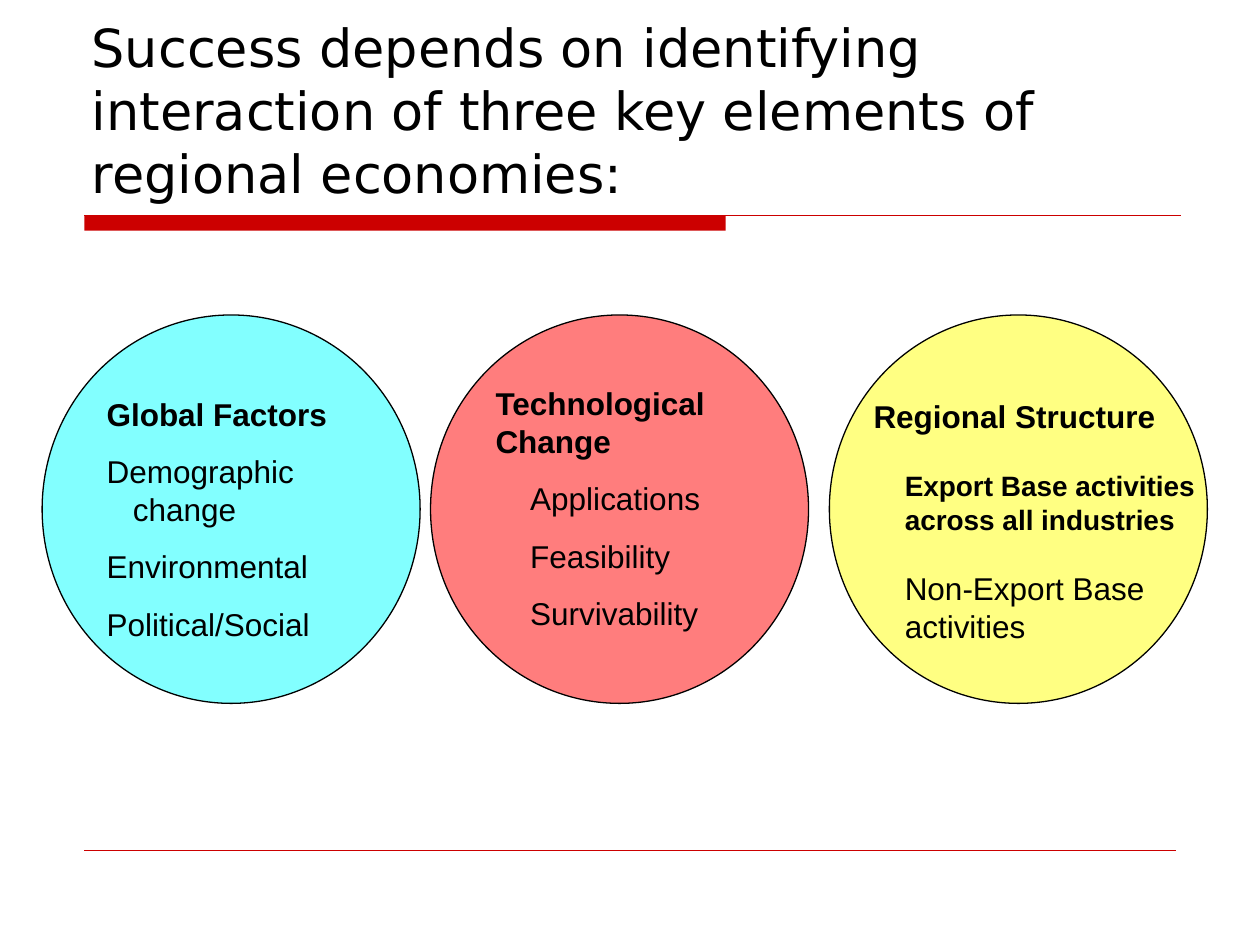
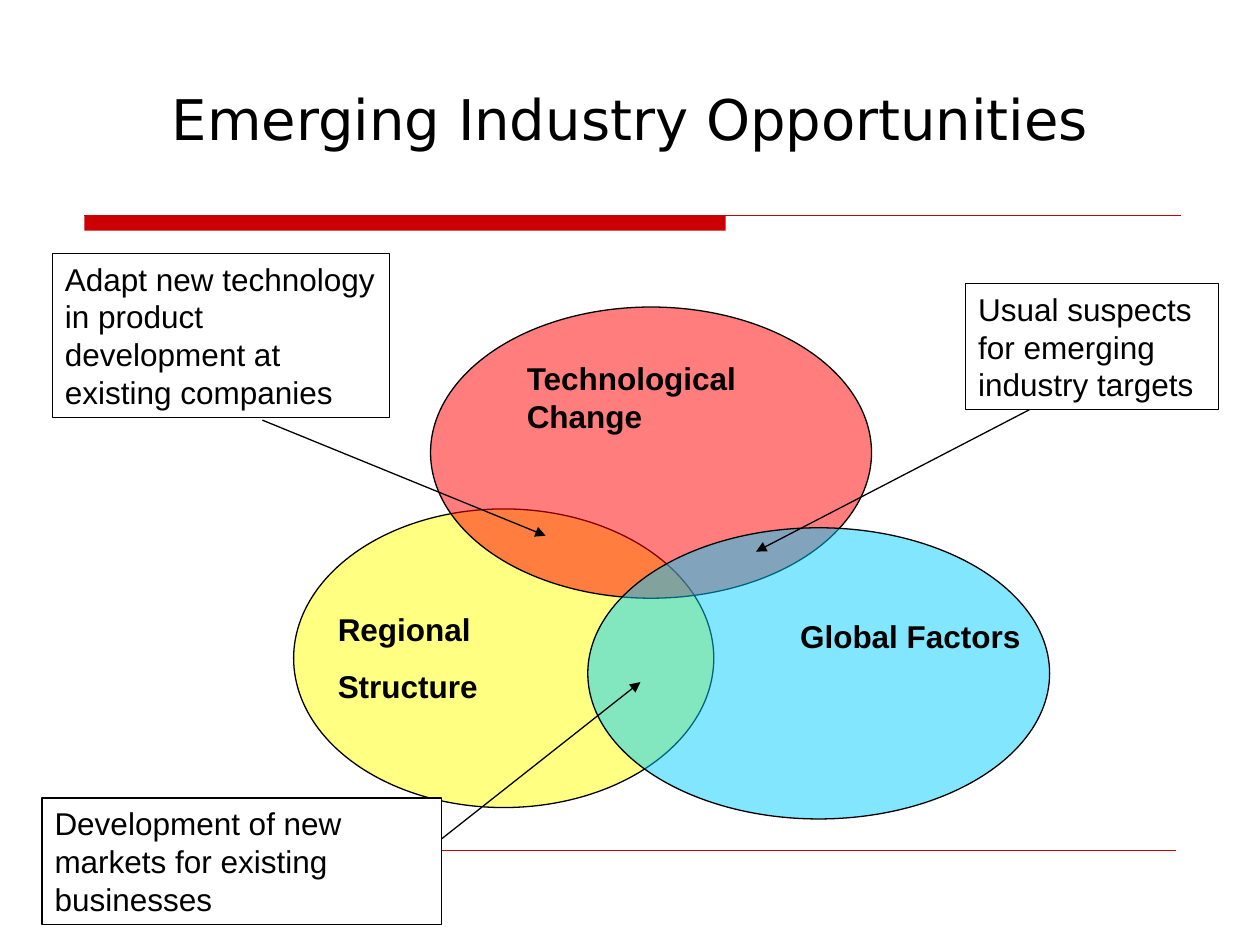
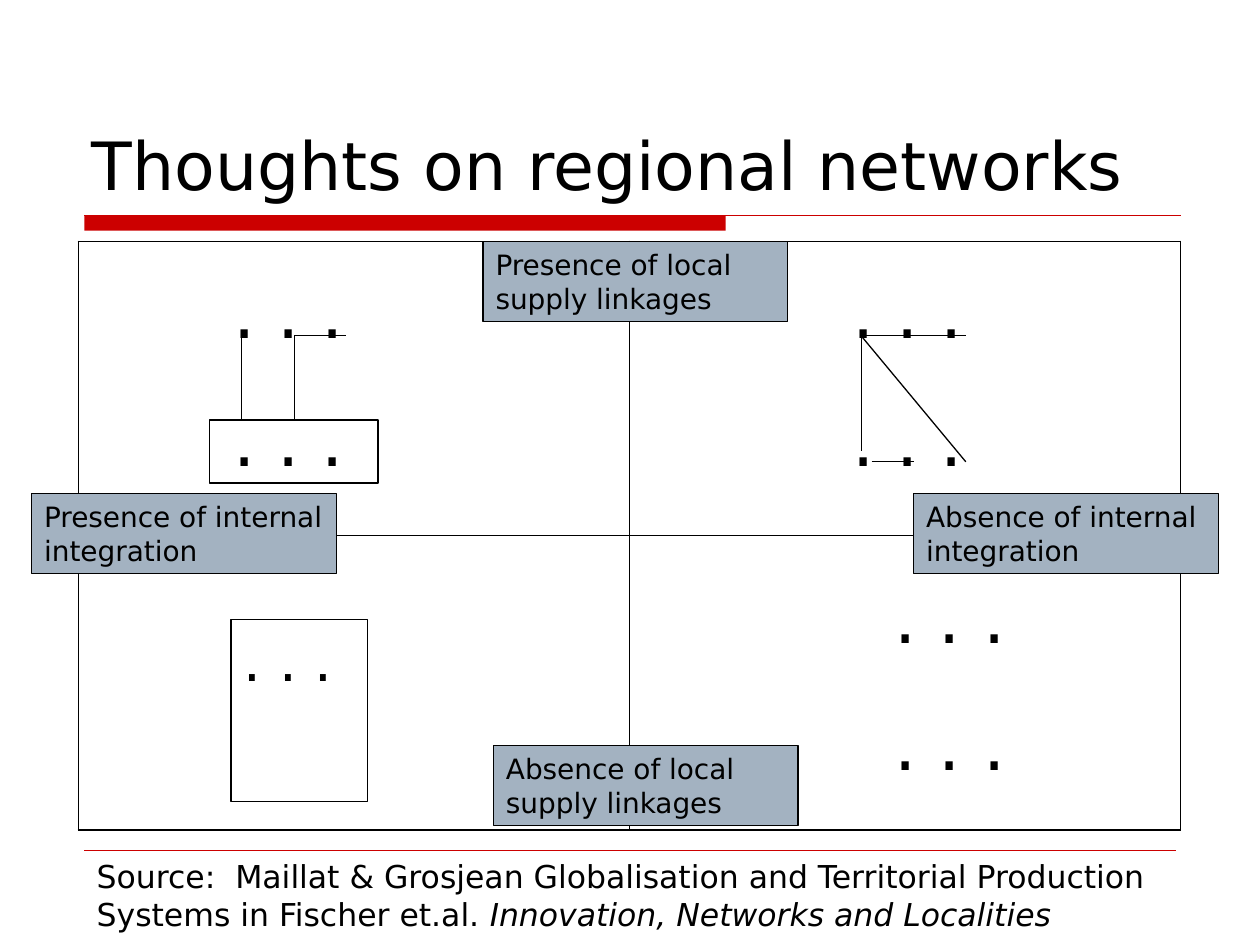
from dataclasses import dataclass

from lxml import etree
from pptx import Presentation
from pptx import util as u
from pptx.dml import color
from pptx.enum import shapes, text
from pptx.oxml import ns

BLACK, WHITE, RED = "000000", "FFFFFF", "CC0000"
SLATE = "A3B2C1"
PURE_RED, YELLOW, CYAN, SKY = "FF0000", "FFFF00", "00FFFF", "00CCFF"
HEADING_FONT, LABEL_FONT = "DejaVu Sans", "Arial"
GAP_RATIO = 0.625  # space before a paragraph, as a share of its text size
OVAL, BOX = shapes.MSO_SHAPE.OVAL, shapes.MSO_SHAPE.RECTANGLE


def rgb(code):
    return color.RGBColor.from_string(code)


def add_element(parent, tag, **attributes):
    return etree.SubElement(parent, ns.qn(tag), **attributes)


@dataclass
class Line:
    """One paragraph, with its own weight and indents in centimetres."""
    words: str
    bold: bool = False
    indent: float = 0
    hanging: float = 0
    italic_end: str = ""


class Deck:
    def __init__(self):
        self.presentation = Presentation()
        self.presentation.slide_width = u.Cm(25.4)
        self.presentation.slide_height = u.Cm(19.05)
        self.slide = None

    # Slide with title, red band and footer rule
    def new_slide(self, title, size, top=0.85, height=3.38,
                  align=text.PP_ALIGN.LEFT):
        layout = self.presentation.slide_layouts[6]
        self.slide = self.presentation.slides.add_slide(layout)
        self.shape(BOX, 1.7, 4.34, 12.93, 0.31, fill=RED, line=None)
        self.connect((1.7, 4.34), (23.8, 4.34), RED)
        self.connect((1.7, 17.15), (23.7, 17.15), RED, 0.25)
        frame = self.text(1.6, top, 22.23, height, [Line(title)], size, HEADING_FONT)
        frame.vertical_anchor = text.MSO_ANCHOR.BOTTOM
        frame.paragraphs[0].alignment = align

    # Text
    def fill_text(self, frame, lines, size, font):
        frame.word_wrap = True
        frame.vertical_anchor = text.MSO_ANCHOR.TOP
        for number, line in enumerate(lines):
            paragraph = frame.add_paragraph() if number else frame.paragraphs[0]
            paragraph.alignment = text.PP_ALIGN.LEFT
            paragraph.add_run().text = line.words
            if line.italic_end:
                run = paragraph.add_run()
                run.text = line.italic_end
                run.font.italic = True
            if number:
                paragraph.space_before = u.Pt(size * GAP_RATIO)
            if line.indent:
                properties = paragraph._p.get_or_add_pPr()
                properties.set("marL", str(u.Cm(line.indent)))
                properties.set("indent", str(-u.Cm(line.hanging)))
            paragraph.font.name = font
            paragraph.font.size = u.Pt(size)
            paragraph.font.bold = line.bold
            paragraph.font.color.rgb = rgb(BLACK)

    def text(self, left, top, width, height, lines, size=18, font=LABEL_FONT):
        box = self.slide.shapes.add_textbox(
            u.Cm(left), u.Cm(top), u.Cm(width), u.Cm(height))
        self.fill_text(box.text_frame, lines, size, font)
        return box.text_frame

    # Preset shapes
    def shape(self, kind, left, top, width, height, fill=None, alpha=None,
              line=BLACK):
        shape = self.slide.shapes.add_shape(
            kind, u.Cm(left), u.Cm(top), u.Cm(width), u.Cm(height))
        shape.shadow.inherit = False
        if fill:
            shape.fill.solid()
            shape.fill.fore_color.rgb = rgb(fill)
        else:
            shape.fill.background()
        if alpha:
            fill_color = shape._element.spPr.find(".//" + ns.qn("a:srgbClr"))
            add_element(fill_color, "a:alpha", val=str(alpha * 1000))
        if line:
            shape.line.color.rgb = rgb(line)
            shape.line.width = u.Pt(0.75)
        else:
            shape.line.fill.background()
        return shape

    def text_box(self, left, top, width, height, words, fill=WHITE, size=18,
                 font=LABEL_FONT):
        shape = self.shape(BOX, left, top, width, height, fill)
        self.fill_text(shape.text_frame, [Line(words)], size, font)

    # Lines and arrows
    def connect(self, start, end, line=BLACK, weight=0.75, arrow=False):
        connector = self.slide.shapes.add_connector(
            shapes.MSO_CONNECTOR.STRAIGHT, *(u.Cm(value) for value in start + end))
        connector.line.color.rgb = rgb(line)
        connector.line.width = u.Pt(weight)
        if arrow:
            outline = connector._element.spPr.find(ns.qn("a:ln"))
            add_element(outline, "a:tailEnd", type="triangle")
        add_element(connector._element.spPr, "a:effectLst")

    # Empty grid with a heavier outer border
    def grid(self, left, top, width, height, rows, columns):
        frame = self.slide.shapes.add_table(
            rows, columns, u.Cm(left), u.Cm(top), u.Cm(width), u.Cm(height))
        table = frame.table
        table.first_row = table.horz_banding = False
        for row in range(rows):
            for column in range(columns):
                cell = table.cell(row, column)
                outer = {"L": column == 0, "R": column == columns - 1,
                         "T": row == 0, "B": row == rows - 1}
                for side, is_outer in outer.items():
                    border = add_element(cell._tc.get_or_add_tcPr(), "a:ln" + side,
                                         w=str(u.Pt(1.08 if is_outer else 0.45)))
                    solid = add_element(border, "a:solidFill")
                    add_element(solid, "a:srgbClr", val=BLACK)
                cell.fill.background()


def key_elements(deck):
    deck.new_slide("Success depends on identifying interaction of three key "
                   "elements of regional economies:", 30)
    for left, fill, alpha in ((0.85, CYAN, 49), (8.68, PURE_RED, 51),
                              (16.72, YELLOW, 49)):
        deck.shape(OVAL, left, 6.35, 7.62, 7.83, fill, alpha)
    deck.text(17.99, 9.32, 6.78, 1.63,
              [Line("Export Base activities across all industries", True)], 16)
    deck.text(17.99, 11.35, 6.35, 1.78, [Line("Non-Export Base activities")])
    deck.text(9.74, 7.62, 5.72, 5.26, [
        Line("Technological Change", True),
        *(Line(words, indent=0.7)
          for words in ("Applications", "Feasibility", "Survivability"))])
    deck.text(1.9, 7.83, 5.29, 5.26, [
        Line("Global Factors", True),
        Line("Demographic change", indent=0.53, hanging=0.53),
        Line("Environmental"),
        Line("Political/Social")])
    deck.text(17.36, 7.88, 6.78, 1.02, [Line("Regional Structure", True)])


def opportunities(deck):
    deck.new_slide("Emerging Industry Opportunities", 32, 0.64, 2.54,
                   text.PP_ALIGN.CENTER)
    # Overlapping elements
    deck.shape(OVAL, 5.92, 10.26, 8.47, 6.02, YELLOW, 49)
    deck.shape(OVAL, 8.68, 6.19, 8.89, 5.87, PURE_RED, 51)
    deck.shape(OVAL, 11.85, 10.64, 9.31, 5.87, SKY, 49)
    deck.text(10.37, 7.11, 5.72, 1.78, [Line("Technological Change", True)])
    deck.text(15.88, 12.32, 6.35, 1.02, [Line("Global Factors", True)])
    deck.text(6.56, 12.17, 6.78, 2.18,
              [Line("Regional", True), Line("Structure", True)])
    # Callouts
    for start, end in (((20.75, 8.26), (15.24, 11.12)),
                       ((5.29, 8.47), (11, 10.8)),
                       ((8.89, 16.92), (12.91, 13.75))):
        deck.connect(start, end, arrow=True)
    deck.text_box(19.47, 5.72, 5.1, 2.54,
                  "Usual suspects for emerging industry targets")
    deck.text_box(1.06, 5.11, 6.79, 3.31,
                  "Adapt new technology in product development at existing companies")
    deck.text_box(0.85, 16.09, 8.05, 2.55,
                  "Development of new markets for existing businesses")


def networks(deck):
    deck.new_slide("Thoughts on regional networks", 38)
    deck.grid(1.58, 4.87, 22.22, 11.86, 2, 2)
    # Axis labels
    for left, top, words in ((18.42, 9.95, "Absence of internal integration"),
                             (0.64, 9.95, "Presence of internal integration"),
                             (9.74, 4.87, "Presence of local supply linkages"),
                             (9.95, 15.03, "Absence of local supply linkages")):
        deck.text_box(left, top, 6.14, 1.62, words, SLATE, 16, HEADING_FONT)
    # Firms as dots
    dots = ". . ."
    for left, top in ((17.78, 11.43), (16.93, 5.29), (4.45, 5.29)):
        deck.text(left, top, 4.23, 4.53, [Line(dots), Line(dots)], 40, HEADING_FONT)
    deck.text_box(4.66, 12.49, 2.75, 3.67, dots, None, 32, HEADING_FONT)
    deck.shape(BOX, 4.23, 8.47, 3.39, 1.27)
    # Links between firms
    hub, corner = (17.36, 6.77), (5.93, 6.77)
    for start, end in (((17.57, 9.31), (18.42, 9.31)),
                       (hub, (19.47, 9.31)),
                       (hub, (19.47, 6.77)),
                       (hub, (17.36, 9.1)),
                       (corner, (5.93, 8.47)),
                       (corner, (6.98, 6.77)),
                       ((4.87, 6.77), (4.87, 8.47))):
        deck.connect(start, end)
    deck.text(1.7, 17.15, 22.01, 1.78, [
        Line("Source:  Maillat & Grosjean Globalisation and Territorial Production "
             "Systems in Fischer et.al. ",
             italic_end="Innovation, Networks and Localities")], 18, HEADING_FONT)


def main():
    deck = Deck()
    key_elements(deck)
    opportunities(deck)
    networks(deck)
    deck.presentation.save("out.pptx")


if __name__ == "__main__":
    main()
